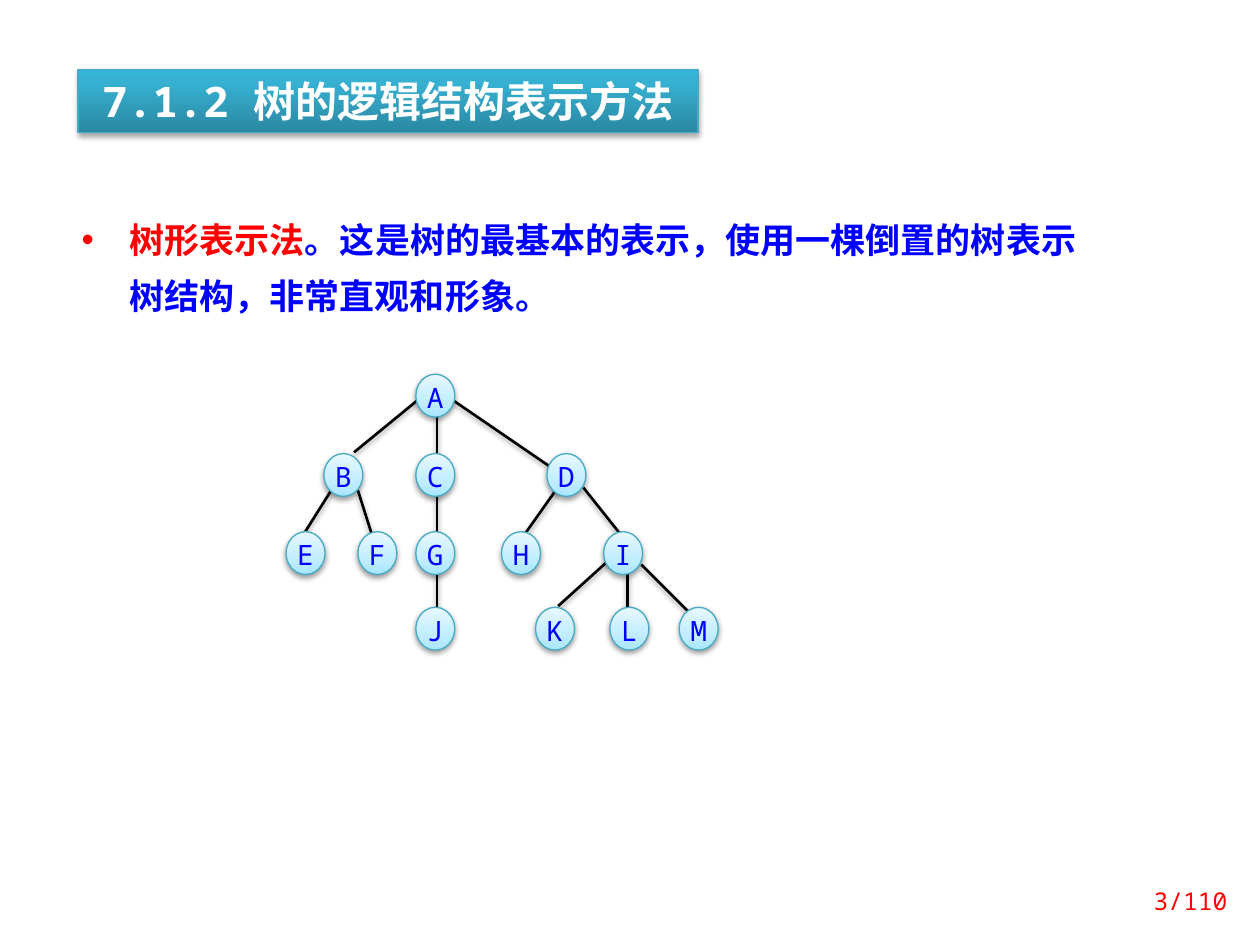
from lxml.etree import SubElement
from pptx import Presentation
from pptx.dml.color import RGBColor
from pptx.enum.shapes import MSO_CONNECTOR, MSO_SHAPE
from pptx.enum.text import MSO_ANCHOR, PP_ALIGN
from pptx.oxml.ns import qn
from pptx.util import Inches, Pt

MONO, SANS = "Noto Sans Mono", "Noto Sans CJK SC"
BLUE, RED, WHITE, BLACK, TEAL = "0000FF", "FF0000", "FFFFFF", "000000", "46AAC5"
TITLE_STOPS = [(0, "2A88A2"), (80, "37B1D2"), (100, "34B4D6")]
NODE_STOPS = [(0, "A7E6FF"), (35, "C1EDFF"), (100, "E7F8FF")]
NODE_WIDTH, NODE_HEIGHT = 0.31, 0.34

# Each level of the tree: its top, then the left of every node
LEVELS = [
    (2.97, {"A": 3.3}),
    (3.6, {"B": 2.57, "C": 3.3, "D": 4.34}),
    (4.22, {"E": 2.27, "F": 2.84, "G": 3.3, "H": 3.98, "I": 4.79}),
    (4.82, {"J": 3.3, "K": 4.25, "L": 4.84, "M": 5.39}),
]
BRANCHES = [
    (3.31, 3.18, 2.81, 3.59),  # A-B
    (3.47, 3.28, 3.47, 4.87),  # A-C-G-J
    (3.6, 3.18, 4.36, 3.7),    # A-D
    (2.63, 3.89, 2.41, 4.24),  # B-E
    (2.84, 3.89, 2.97, 4.3),   # B-F
    (4.44, 3.85, 4.15, 4.26),  # D-H
    (4.63, 3.87, 4.94, 4.26),  # D-I
    (4.85, 4.43, 4.43, 4.81),  # I-K
    (4.98, 4.55, 4.98, 4.86),  # I-L
    (5.09, 4.48, 5.46, 4.85),  # I-M
]


def rgb(value):
    return RGBColor.from_string(value)


def apply(target, values):
    for name, value in values.items():
        setattr(target, name, value)


def add_xml(parent, tag, **attributes):
    return SubElement(parent, qn(tag), {k: str(v) for k, v in attributes.items()})


class TreeSlide:
    def __init__(self, slide):
        self.slide = slide

    def shadow(self, effects, opacity, distance):
        outer = add_xml(effects, "a:outerShdw", blurRad=Pt(3.1), dist=Pt(distance),
                        dir=90 * 60000, rotWithShape=0)
        color = add_xml(outer, "a:srgbClr", val=BLACK)
        add_xml(color, "a:alpha", val=opacity * 1000)

    def fill_text(self, shape, runs, size, font, bold=False, frame=None, paragraph=None):
        """Fill the text frame with one paragraph of (text, colour) runs."""
        text_frame = shape.text_frame
        apply(text_frame, {"word_wrap": True, **(frame or {})})
        line = text_frame.paragraphs[0]
        apply(line, paragraph or {})
        for text, color in runs:
            run = line.add_run()
            run.text = text
            apply(run.font, {"size": Pt(size), "name": font, "bold": bold})
            run.font.color.rgb = rgb(color)
            add_xml(run._r.get_or_add_rPr(), "a:ea", typeface=SANS)
        return line

    def text(self, box, runs, size, font, **formats):
        shape = self.slide.shapes.add_textbox(*map(Inches, box))
        return self.fill_text(shape, runs, size, font, **formats)

    def bullet(self, box, runs):
        line = self.text(box, runs, 20, SANS, bold=True,
                         paragraph={"line_spacing": Pt(32)})
        properties = line._p.get_or_add_pPr()
        properties.set("marL", str(Inches(0.38)))
        properties.set("indent", str(Inches(-0.38)))
        add_xml(properties, "a:buFont", typeface="Arial")
        add_xml(properties, "a:buChar", char="•")

    def glossy_shape(self, kind, box, stops, opacity, distance):
        """Add a shape with an upward gradient, a teal outline and a shadow."""
        shape = self.slide.shapes.add_shape(kind, *map(Inches, box))
        gradient = add_xml(shape._element.spPr, "a:gradFill", rotWithShape=1)
        stop_list = add_xml(gradient, "a:gsLst")
        for position, color in stops:
            stop = add_xml(stop_list, "a:gs", pos=position * 1000)
            add_xml(stop, "a:srgbClr", val=color)
        add_xml(gradient, "a:lin", ang=270 * 60000, scaled=0)
        shape.line.color.rgb = rgb(TEAL)
        shape.line.width = Pt(0.75)
        shape.shadow.inherit = False
        self.shadow(shape._element.spPr.find(qn("a:effectLst")), opacity, distance)
        return shape

    def title(self, box, text):
        banner = self.glossy_shape(MSO_SHAPE.RECTANGLE, box, TITLE_STOPS, 35, 1.8)
        self.fill_text(banner, [(text, WHITE)], 24, MONO, bold=True,
                       frame={"vertical_anchor": MSO_ANCHOR.TOP},
                       paragraph={"alignment": PP_ALIGN.CENTER})

    def node(self, left, top, letter):
        box = (left, top, NODE_WIDTH, NODE_HEIGHT)
        circle = self.glossy_shape(MSO_SHAPE.OVAL, box, NODE_STOPS, 38, 1.6)
        margins = {f"margin_{side}": 0 for side in ("left", "top", "right", "bottom")}
        self.fill_text(circle, [(letter, BLUE)], 16, MONO,
                       frame={**margins, "vertical_anchor": MSO_ANCHOR.TOP},
                       paragraph={"alignment": PP_ALIGN.CENTER, "line_spacing": Pt(19)})

    def branch(self, ends):
        line = self.slide.shapes.add_connector(MSO_CONNECTOR.STRAIGHT, *map(Inches, ends))
        line.line.color.rgb = rgb(BLACK)
        line.line.width = Pt(1.5)
        self.shadow(add_xml(line._element.spPr, "a:effectLst"), 38, 1.6)


def main():
    deck = Presentation()
    apply(deck, {"slide_width": Inches(10), "slide_height": Inches(7.5)})
    page = TreeSlide(deck.slides.add_slide(deck.slide_layouts[6]))

    page.title((0.62, 0.55, 4.92, 0.5), "7.1.2 树的逻辑结构表示方法")
    page.bullet((0.55, 1.57, 8.12, 0.95), [
        ("树形表示法", RED),
        ("。这是树的最基本的表示，使用一棵倒置的树表示树结构，非常直观和形象。", BLUE),
    ])
    for ends in BRANCHES:
        page.branch(ends)
    for top, nodes in LEVELS:
        for letter, left in nodes.items():
            page.node(left, top, letter)
    page.text((8.7, 6.95, 1.14, 0.4), [("3/110", RED)], 14, MONO,
              frame={"vertical_anchor": MSO_ANCHOR.MIDDLE},
              paragraph={"alignment": PP_ALIGN.RIGHT})
    deck.save("out.pptx")


if __name__ == "__main__":
    main()
